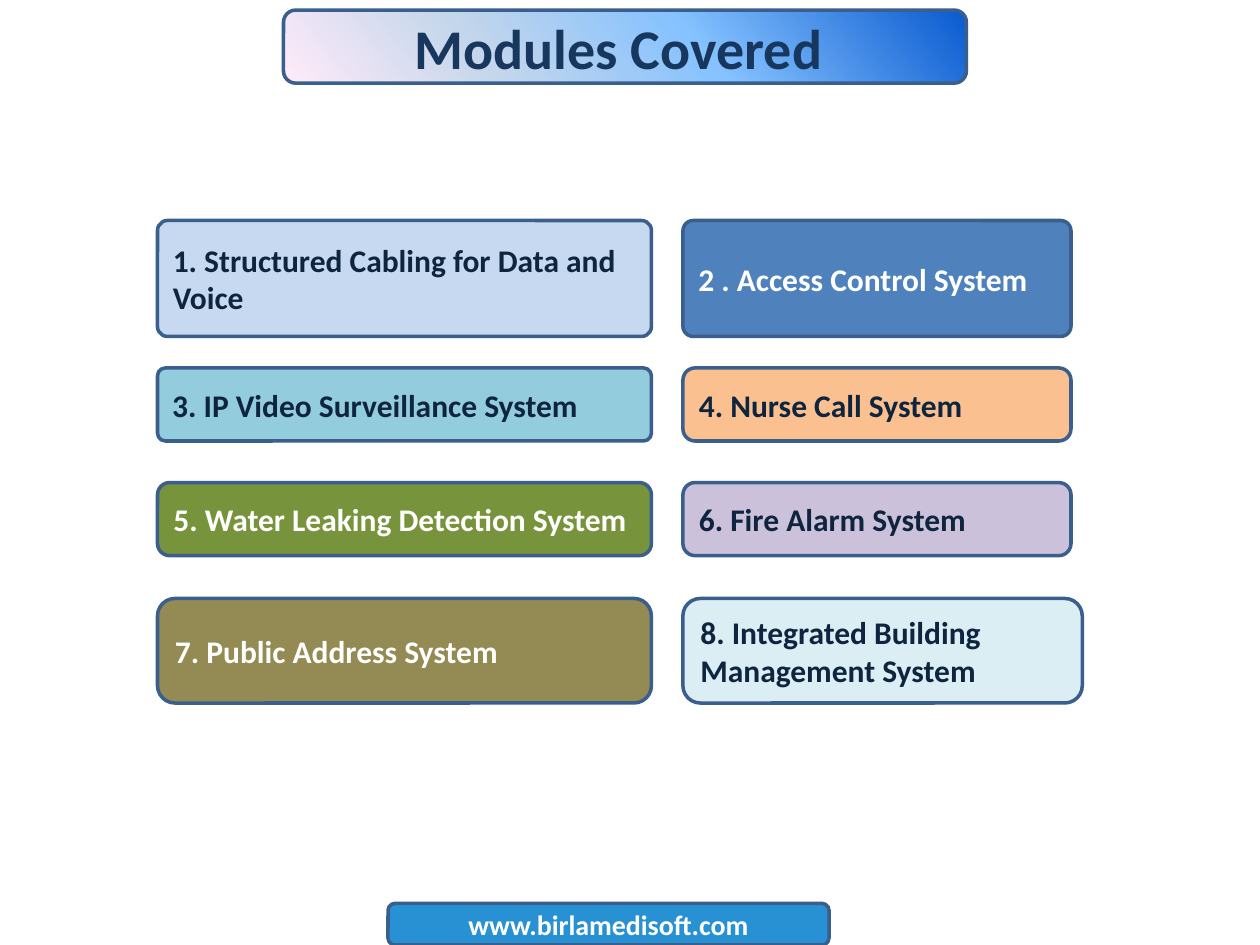
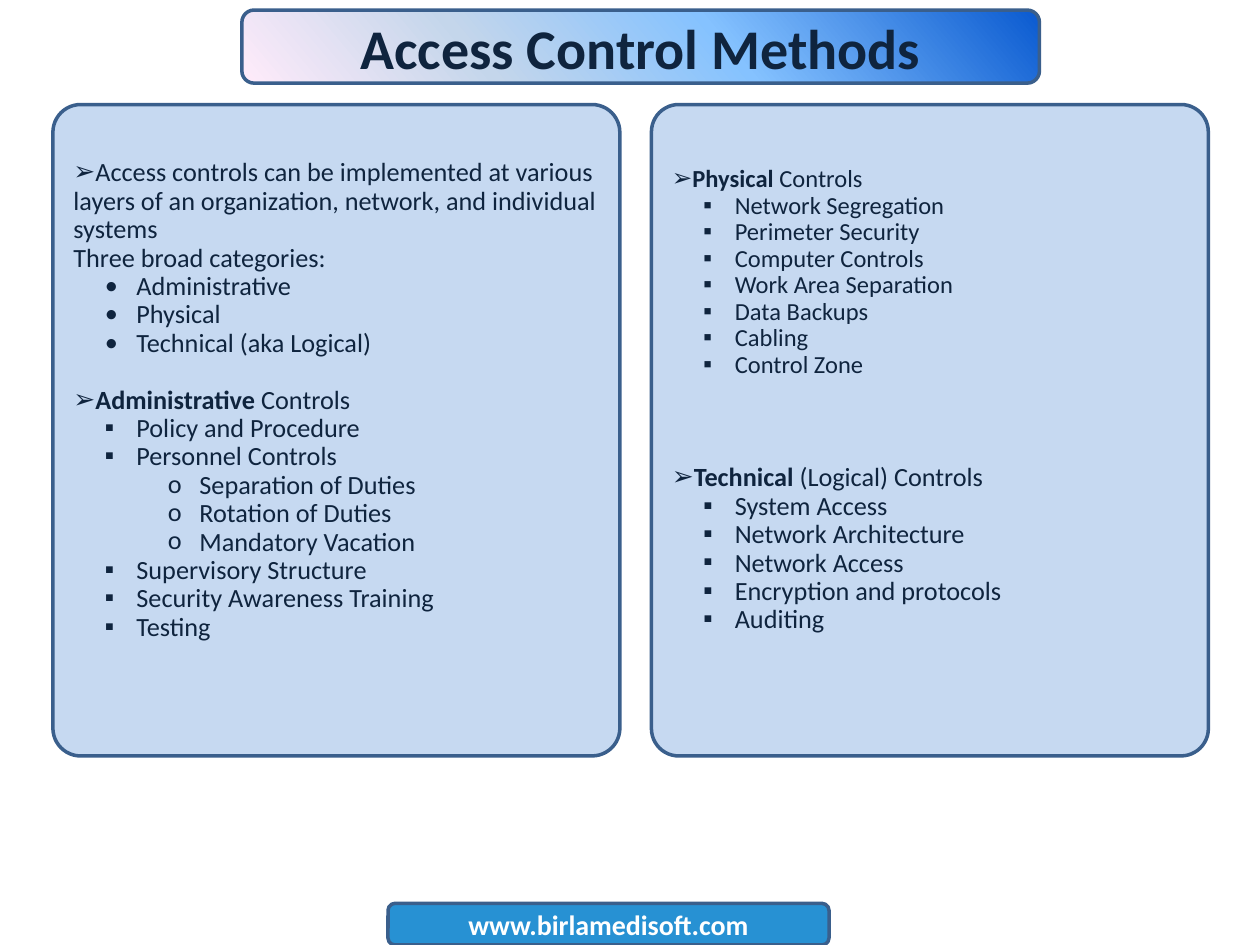
from lxml import etree
from pptx import Presentation
from pptx import util as u
from pptx.dml.color import RGBColor
from pptx.enum import shapes, text
from pptx.oxml import ns

HEX = {
    "edge": "3A5F8C", "ink": "0F243E", "navy": "17375E", "white": "FFFFFF",
    "foot": "2791D3", "pale": "C6D9F1", "blue": "4F81BD", "aqua": "93CDDD",
    "peach": "FAC090", "green": "77933C", "lilac": "CCC1DA", "olive": "948A54",
    "ice": "DBEEF4",
}
FADE = [(0, "0A5AD0"), (40, "85C2FF"), (70, "C4D6EB"), (100, "FFEBFA")]
FONT = "Calibri"
SITE = "www.birlamedisoft.com"
LEFT, MID, JUST = text.PP_ALIGN.LEFT, text.PP_ALIGN.CENTER, text.PP_ALIGN.JUSTIFY

COLS = [(1.25, 3.92), (5.42, 3.08)]
ROWS = [(1.75, 0.92), (2.92, 0.58), (3.83, 0.58), (4.75, 0.83)]
MODULES = [
    ("1. Structured Cabling for Data and Voice", "pale", "ink", LEFT, {"adj": 0.086}),
    ("2 . Access Control System", "blue", "white", LEFT, {"adj": 0.089}),
    ("3. IP Video Surveillance System", "aqua", "ink", JUST, {"adj": 0.108}),
    ("4. Nurse Call System", "peach", "ink", JUST, {}),
    ("5. Water Leaking Detection System", "green", "white", JUST, {}),
    ("6. Fire Alarm System", "lilac", "ink", JUST, {}),
    ("7. Public Address System", "olive", "white", JUST, {}),
    ("8. Integrated Building Management System", "ice", "ink", LEFT, {"wide": 3.17}),
]

HEAD, DOT, BOX, RING = "➢", "•", "▪", "o"
DEPTH = {HEAD: 0, "": 0, DOT: 0.5, BOX: 0.5, RING: 1}
BROAD = [
    (HEAD, "", ["Access controls can be implemented at various layers of an "
                "organization, network, and individual systems"]),
    ("", "", ["Three broad categories:"]),
    (DOT, "", ["Administrative", "Physical", "Technical (aka Logical)"]),
]
ADMIN = [
    (HEAD, "Administrative", [" Controls"]),
    (BOX, "", ["Policy and Procedure", "Personnel Controls"]),
    (RING, "", ["Separation of Duties", "Rotation of Duties", "Mandatory Vacation"]),
    (BOX, "", ["Supervisory Structure", "Security Awareness Training", "Testing"]),
]
PHYS = [
    (HEAD, "Physical ", ["Controls"]),
    (BOX, "", ["Network Segregation", "Perimeter Security", "Computer Controls",
               "Work Area Separation", "Data Backups", "Cabling", "Control Zone"]),
]
TECH = [
    (HEAD, "Technical", [" (Logical) Controls"]),
    (BOX, "", ["System Access", "Network Architecture", "Network Access",
               "Encryption and protocols", "Auditing"]),
]
PANELS = [
    (0.42, 4.5, [(BROAD, 15, 0), (ADMIN, 15, 16.4)]),
    (5.17, 4.42, [(PHYS, 14, 0), (TECH, 15, 49)]),
]


def rgb(name):
    return RGBColor.from_string(HEX[name])


def write(para, words, size=18, color="ink", bold=False, align=LEFT):
    para.alignment = align
    run = para.add_run()
    run.text = words
    font = run.font
    font.name, font.size, font.bold = FONT, u.Pt(size), bold
    font.color.rgb = rgb(color)


def card(slide, x, y, w, h, fill=None, adj=None):
    shape = slide.shapes.add_shape(
        shapes.MSO_SHAPE.ROUNDED_RECTANGLE, *map(u.Inches, (x, y, w, h)))
    shape.shadow.inherit = False
    if adj:
        shape.adjustments[0] = adj
    if fill:
        shape.fill.solid()
        shape.fill.fore_color.rgb = rgb(fill)
    shape.line.color.rgb = rgb("edge")
    shape.line.width = u.Pt(2)
    shape.text_frame.word_wrap = True
    shape.text_frame.vertical_anchor = text.MSO_ANCHOR.MIDDLE
    return shape


def fade(shape):
    shape.fill.gradient()
    grad = shape._element.spPr.find(ns.qn("a:gradFill"))
    for kid in list(grad):
        grad.remove(kid)
    stops = etree.SubElement(grad, ns.qn("a:gsLst"))
    for at, color in FADE:
        stop = etree.SubElement(stops, ns.qn("a:gs"), pos=str(at * 1000))
        etree.SubElement(stop, ns.qn("a:srgbClr"), val=color)
    etree.SubElement(grad, ns.qn("a:lin"), ang=str(140 * 60000), scaled="0")


def frame(deck, title, x, w, color):
    slide = deck.slides.add_slide(deck.slide_layouts[6])
    foot = card(slide, 3.08, 7.17, 3.5, 0.33, "foot")
    write(foot.text_frame.paragraphs[0], SITE, size=16, color="white", bold=True, align=MID)
    band = card(slide, x, 0.08, w, 0.58)
    fade(band)
    write(band.text_frame.paragraphs[0], title, size=32, color=color, bold=True, align=MID)
    return slide


def mark(para, sign):
    props = para._p.get_or_add_pPr()
    depth = DEPTH[sign]
    props.set("marL", str(u.Inches(depth)))
    props.set("indent", str(u.Inches(-0.25 if depth else 0)))
    if sign:
        etree.SubElement(props, ns.qn("a:buFont"), typeface=FONT)
        etree.SubElement(props, ns.qn("a:buChar"), char=sign)


def panel(slide, x, w, parts):
    body = card(slide, x, 0.83, w, 5.17, "pale", 0.049).text_frame
    body.margin_bottom = u.Inches(0.52)
    para = body.paragraphs[0]
    fresh = True
    for groups, size, gap in parts:
        for sign, lead, items in groups:
            for item in items:
                para = para if fresh else body.add_paragraph()
                fresh = False
                para.line_spacing = 0.9
                if gap:
                    para.space_before = u.Pt(gap)
                    gap = 0
                mark(para, sign)
                if lead:
                    write(para, lead, size=size, bold=True)
                write(para, item, size=size)


def main():
    deck = Presentation()
    deck.slide_width, deck.slide_height = u.Inches(10), u.Inches(7.5)

    slide = frame(deck, "Modules Covered ", 2.25, 5.42, "navy")
    for i, (name, fill, color, align, more) in enumerate(MODULES):
        (x, w), (y, h) = COLS[i % 2], ROWS[i // 2]
        shape = card(slide, x, y, more.get("wide", w), h, fill, more.get("adj"))
        write(shape.text_frame.paragraphs[0], name, color=color, bold=True, align=align)

    slide = frame(deck, "Access Control Methods", 1.92, 6.33, "ink")
    for x, w, parts in PANELS:
        panel(slide, x, w, parts)

    deck.save("out.pptx")


if __name__ == "__main__":
    main()
